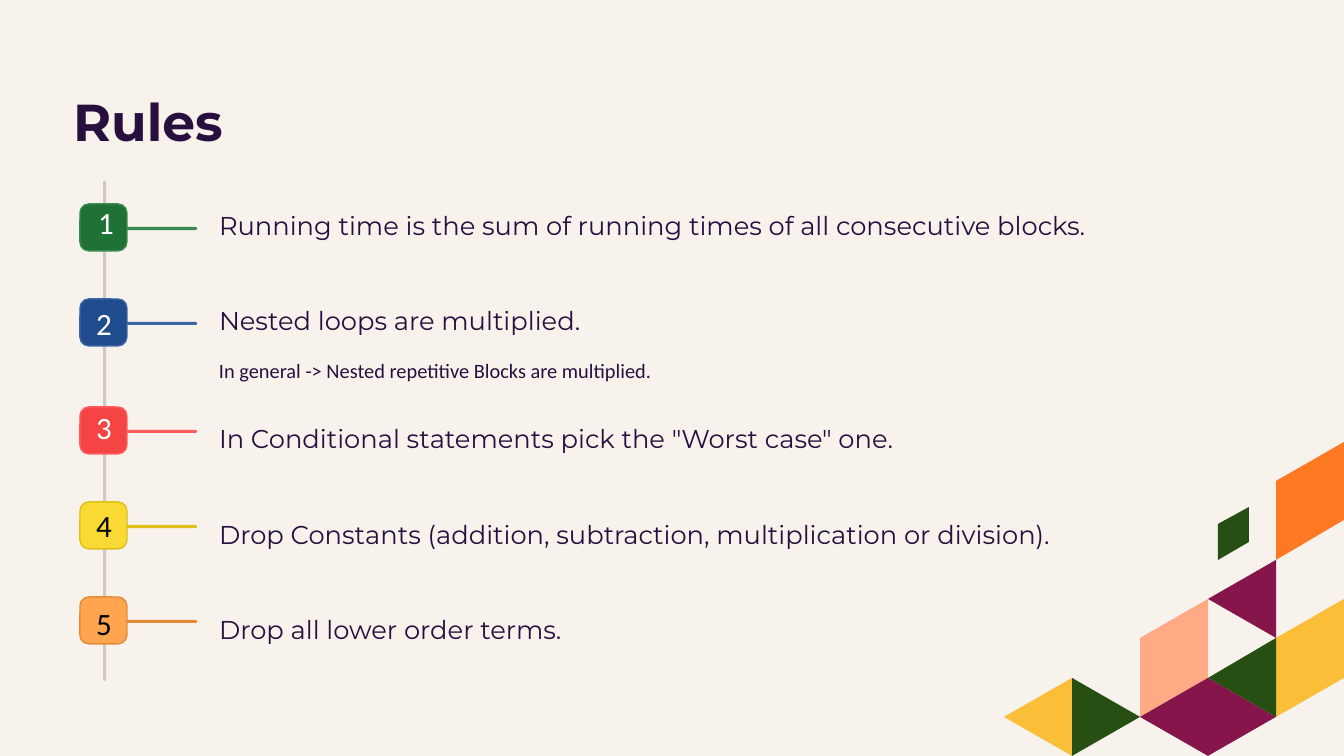
from pptx import Presentation
from pptx.dml.color import RGBColor
from pptx.enum.shapes import MSO_SHAPE
from pptx.enum.text import MSO_ANCHOR, MSO_AUTO_SIZE, PP_ALIGN
from pptx.util import Pt

PX = 9144000 / 1344
INK = "27103E"


def paint(fill, color):
    fill.solid()
    fill.fore_color.rgb = RGBColor.from_string(color)


def write(box, place, text, size, font, color, space=1.0, align=PP_ALIGN.LEFT):
    box.left, box.top, box.width, box.height = [round(n * PX) for n in place]
    frame = box.text_frame
    frame.text = text
    frame.word_wrap = True
    frame.auto_size = MSO_AUTO_SIZE.NONE
    frame.vertical_anchor = MSO_ANCHOR.TOP
    frame.margin_left = frame.margin_top = 0
    frame.margin_right = frame.margin_bottom = 0
    line = frame.paragraphs[0]
    line.alignment = align
    line.line_spacing = space
    run = line.runs[0]
    run.font.size = Pt(size)
    run.font.name = font
    paint(run.font.fill, color)
    return run


deck = Presentation()
deck.slide_width = round(1344 * PX)
deck.slide_height = round(756 * PX)
slide = deck.slides.add_slide(deck.slide_layouts[5])
shapes = slide.shapes
paint(slide.background.fill, "F7F2EC")

tiles = [
    ("FF7922", [(4, 7), (5, 8), (5, 6), (4, 5)]),
    ("FFAA85", [(2, 3), (3, 4), (3, 2), (2, 1)]),
    ("86154B", [(3, 2), (2, 1), (3, 0), (4, 1)]),
    ("FABE39", [(4, 1), (5, 2), (5, 4), (4, 3)]),
    ("274E13", [(3.15, 5), (3.6, 5.45), (3.6, 6.35), (3.15, 5.9)]),
    ("274E13", [(3, 2), (4, 1), (4, 3)]),
    ("86154B", [(3, 4), (4, 3), (4, 5)]),
    ("274E13", [(2, 1), (1, 2), (1, 0)]),
    ("FABE39", [(0, 1), (1, 0), (1, 2)]),
]
for color, grid in tiles:
    spots = [(round(1004 + 68 * col), round(756 - 39.25 * row)) for col, row in grid]
    pen = shapes.build_freeform(*spots[0], scale=PX)
    pen.add_line_segments(spots[1:], close=True)
    tile = pen.convert_to_shape()
    tile.shadow.inherit = False
    paint(tile.fill, color)
    tile.line.fill.background()

title = write(shapes.title, (73, 74, 521, 65), "Rules", 27.8, "Montserrat", INK, 1.25)
title.font.bold = True

rules = [
    (204, 98, 204, 202, "1F7135", "388A4E", "FFFFFF",
     "Running time is the sum of running times of all consecutive blocks."),
    (299, 96, 305, 297, "204C8E", "3965A7", "FFFFFF",
     "Nested loops are multiplied."),
    (407, 96, 409, 415, "F44444", "FF5D5D", "FFFFFF",
     'In Conditional statements pick the "Worst case" one.'),
    (502, 96, 507, 511, "F9D933", "DFBF19", "000000",
     "Drop Constants (addition, subtraction, multiplication or division)."),
    (597, 96, 605, 606, "FFA44F", "E58A35", "000000",
     "Drop all lower order terms."),
]

bars = [((103, 181, 3, 500), 0.5, "D1C8C6", None)]
for top, _, _, _, fill, edge, _, _ in rules:
    bars.append(((125, top + 23, 72, 3), 0.5, edge, None))
    bars.append(((80, top, 47, 47), 0.19, fill, edge))
for place, curve, fill, edge in bars:
    bar = shapes.add_shape(MSO_SHAPE.ROUNDED_RECTANGLE, *[round(n * PX) for n in place])
    bar.adjustments[0] = curve
    bar.shadow.inherit = False
    paint(bar.fill, fill)
    if edge:
        paint(bar.line.fill, edge)
        bar.line.width = Pt(0.75)
    else:
        bar.line.fill.background()

for count, (_, left, high, top, _, _, color, text) in enumerate(rules, 1):
    label = shapes.add_textbox(0, 0, 0, 0)
    write(label, (left, high, 16, 31), str(count), 16.6, "Calibri", color,
          align=PP_ALIGN.CENTER)
    rule = shapes.add_textbox(0, 0, 0, 0)
    write(rule, (219, top, 925, 32), text, 13.8, "Montserrat", INK, 1.25)

note = shapes.add_textbox(0, 0, 0, 0)
write(note, (219, 343, 1052, 34), "In general -> Nested repetitive Blocks are multiplied.",
      10.9, "Calibri", INK, 1.63)

deck.save("out.pptx")
